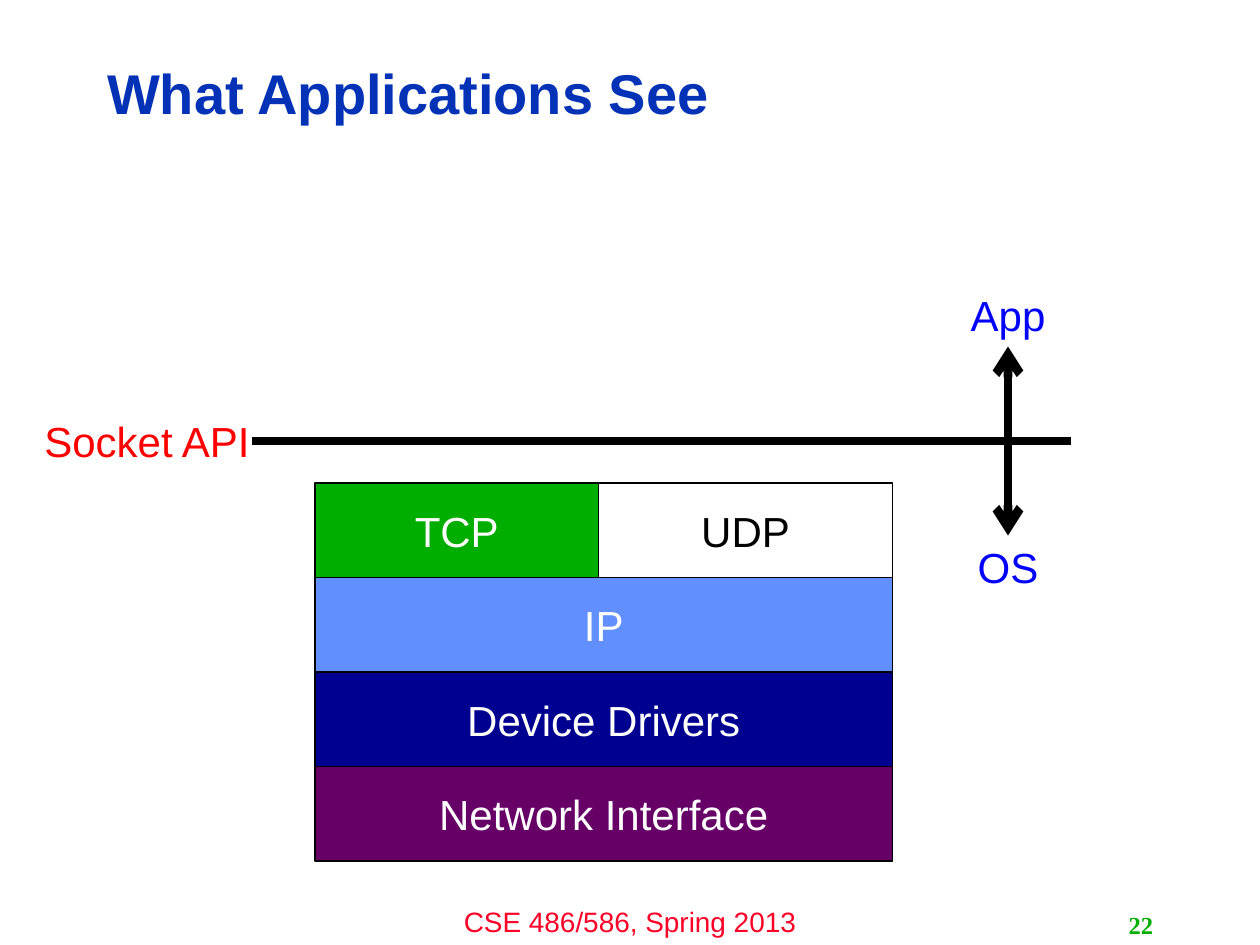
from dataclasses import dataclass

from lxml import etree
from pptx import Presentation
from pptx.dml.color import RGBColor
from pptx.enum.shapes import MSO_CONNECTOR, MSO_SHAPE
from pptx.enum.text import MSO_ANCHOR, PP_ALIGN
from pptx.oxml.ns import qn
from pptx.util import Inches, Pt

LEFT, CENTER, RIGHT = PP_ALIGN.LEFT, PP_ALIGN.CENTER, PP_ALIGN.RIGHT
TOP, MIDDLE = MSO_ANCHOR.TOP, MSO_ANCHOR.MIDDLE
RECTANGLE, STRAIGHT = MSO_SHAPE.RECTANGLE, MSO_CONNECTOR.STRAIGHT
TITLE_ONLY = 5
COLUMNS, ROWS = 120, 90


@dataclass(frozen=True)
class Theme:
    """Colours, fonts and type sizes of the slide."""
    sans: str = "Arial"
    serif: str = "Times New Roman"
    title_size: int = 32
    body_size: int = 24
    footer_size: int = 16
    number_size: int = 14
    outline: float = 0.75
    stroke: int = 5
    black: str = "000000"
    white: str = "FFFFFF"
    title: str = "0332B7"
    footer: str = "FC0128"
    green: str = "00AE00"
    sky: str = "618FFD"
    navy: str = "000090"
    purple: str = "660066"
    side: str = "0000FF"
    interface: str = "FF0000"


class Slide:
    """Draws elements on a page measured in grid columns and rows."""

    def __init__(self, deck, theme):
        self.theme = theme
        self.page = deck.slides.add_slide(deck.slide_layouts[TITLE_ONLY])
        self.column = deck.slide_width / COLUMNS
        self.row = deck.slide_height / ROWS

    def place(self, *cells):
        """Turn alternating columns and rows into lengths."""
        units = (self.column, self.row)
        return [round(cell * units[index % 2]) for index, cell in enumerate(cells)]

    def set_text(self, box, text, color, size, align=CENTER, anchor=TOP, bold=False, font=None):
        """Fill a shape with one styled paragraph."""
        frame = box.text_frame
        frame.word_wrap = True
        frame.vertical_anchor = anchor
        para = frame.paragraphs[0]
        para.text = text
        para.alignment = align
        para.font.name = font or self.theme.sans
        para.font.size = Pt(size)
        para.font.bold = bold
        para.font.color.rgb = RGBColor.from_string(color)
        return para

    def title(self, text, *cells):
        """Move and format the title placeholder."""
        box = self.page.shapes.title
        box.left, box.top, box.width, box.height = self.place(*cells)
        para = self.set_text(box, text, self.theme.title, self.theme.title_size,
                             LEFT, MIDDLE, bold=True)
        para.line_spacing = 0.9

    def label(self, text, cells, color, size, **style):
        """Add a text box."""
        box = self.page.shapes.add_textbox(*self.place(*cells))
        self.set_text(box, text, color, size, **style)

    def layer(self, text, cells, fill, color):
        """Add one outlined block of the protocol stack."""
        box = self.page.shapes.add_shape(RECTANGLE, *self.place(*cells))
        box.shadow.inherit = False
        box.fill.solid()
        box.fill.fore_color.rgb = RGBColor.from_string(fill)
        box.line.color.rgb = RGBColor.from_string(self.theme.black)
        box.line.width = Pt(self.theme.outline)
        self.set_text(box, text, color, self.theme.body_size, anchor=MIDDLE)

    def line(self, *cells, arrow=False):
        """Add a thick line, optionally with an arrowhead at its end."""
        connector = self.page.shapes.add_connector(STRAIGHT, *self.place(*cells))
        connector.line.color.rgb = RGBColor.from_string(self.theme.black)
        connector.line.width = Pt(self.theme.stroke)
        properties = connector._element.spPr
        if arrow:
            etree.SubElement(properties.find(qn("a:ln")), qn("a:tailEnd"), type="arrow")
        etree.SubElement(properties, qn("a:effectLst"))


def main():
    """Build and save the slide."""
    deck = Presentation()
    deck.slide_width, deck.slide_height = Inches(10), Inches(7.5)
    theme = Theme()
    slide = Slide(deck, theme)

    slide.title("What Applications See", 9, 4.3, 95.8, 9.7)
    slide.label("CSE 486/586, Spring 2013", (40, 85.56, 40, 4.44), theme.footer, theme.footer_size)
    slide.label("22", (86, 86.16, 25, 3.84), theme.green, theme.number_size,
                align=RIGHT, anchor=MIDDLE, bold=True, font=theme.serif)

    left, split, right, top, height = 30, 57, 85, 46, 9
    layers = (
        ("TCP", left, split, 0, theme.green, theme.white),
        ("UDP", split, right, 0, theme.white, theme.black),
        ("IP", left, right, 1, theme.sky, theme.white),
        ("Device Drivers", left, right, 2, theme.navy, theme.white),
        ("Network Interface", left, right, 3, theme.purple, theme.white),
    )
    for text, start, end, level, fill, color in layers:
        slide.layer(text, (start, top + level * height, end - start, height), fill, color)

    border, axis, reach = 42, 96, 9
    slide.line(24, border, 102, border)
    for tip in (border - reach, border + reach):
        slide.line(axis, border, axis, tip, arrow=True)

    labels = (
        ("App", 88, border - reach - 6, 16, theme.side),
        ("OS", 88, border + reach, 16, theme.side),
        ("Socket API", 3, border - 3, 22, theme.interface),
    )
    for text, start, row, width, color in labels:
        slide.label(text, (start, row, width, 6), color, theme.body_size)

    deck.save("out.pptx")


if __name__ == "__main__":
    main()
